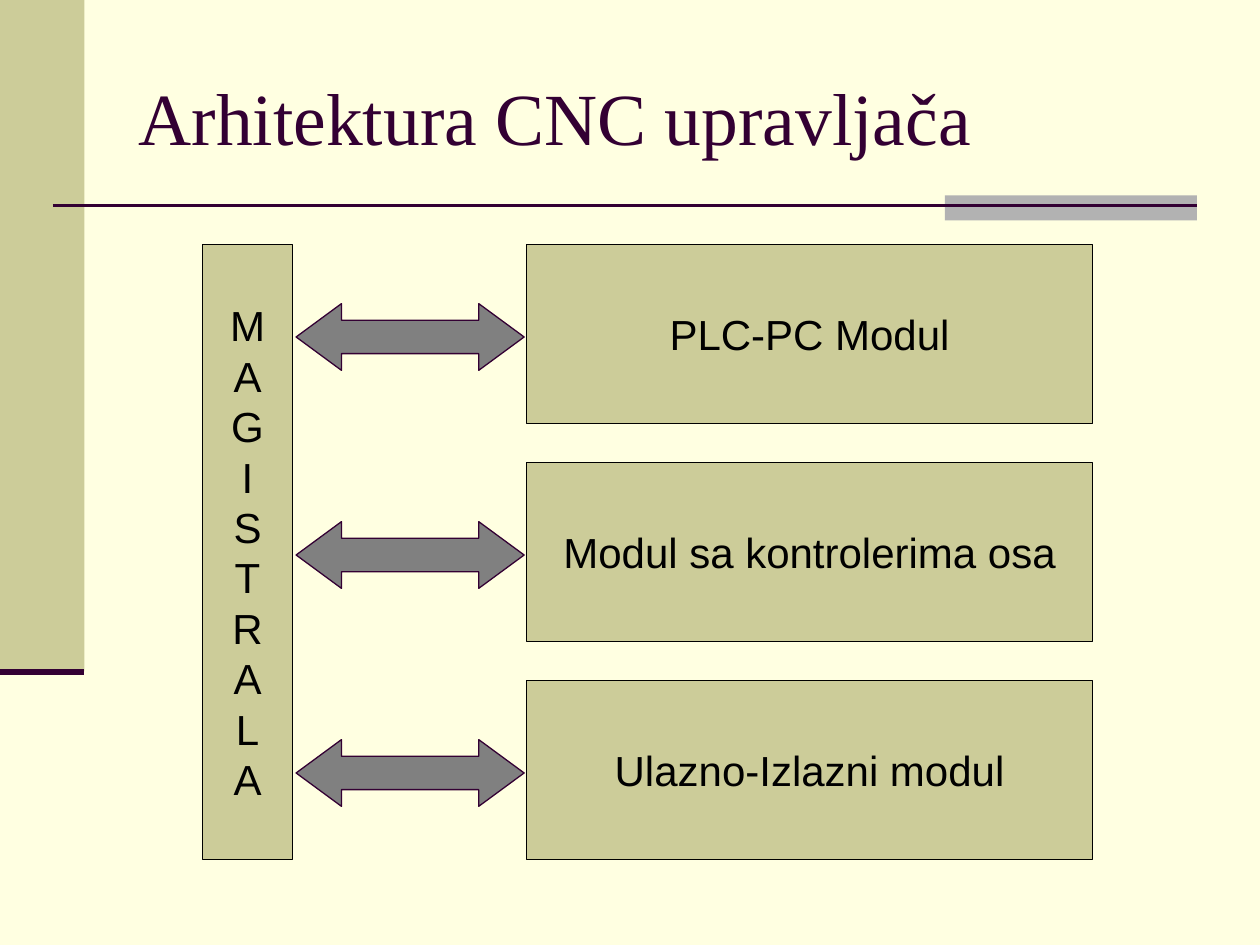
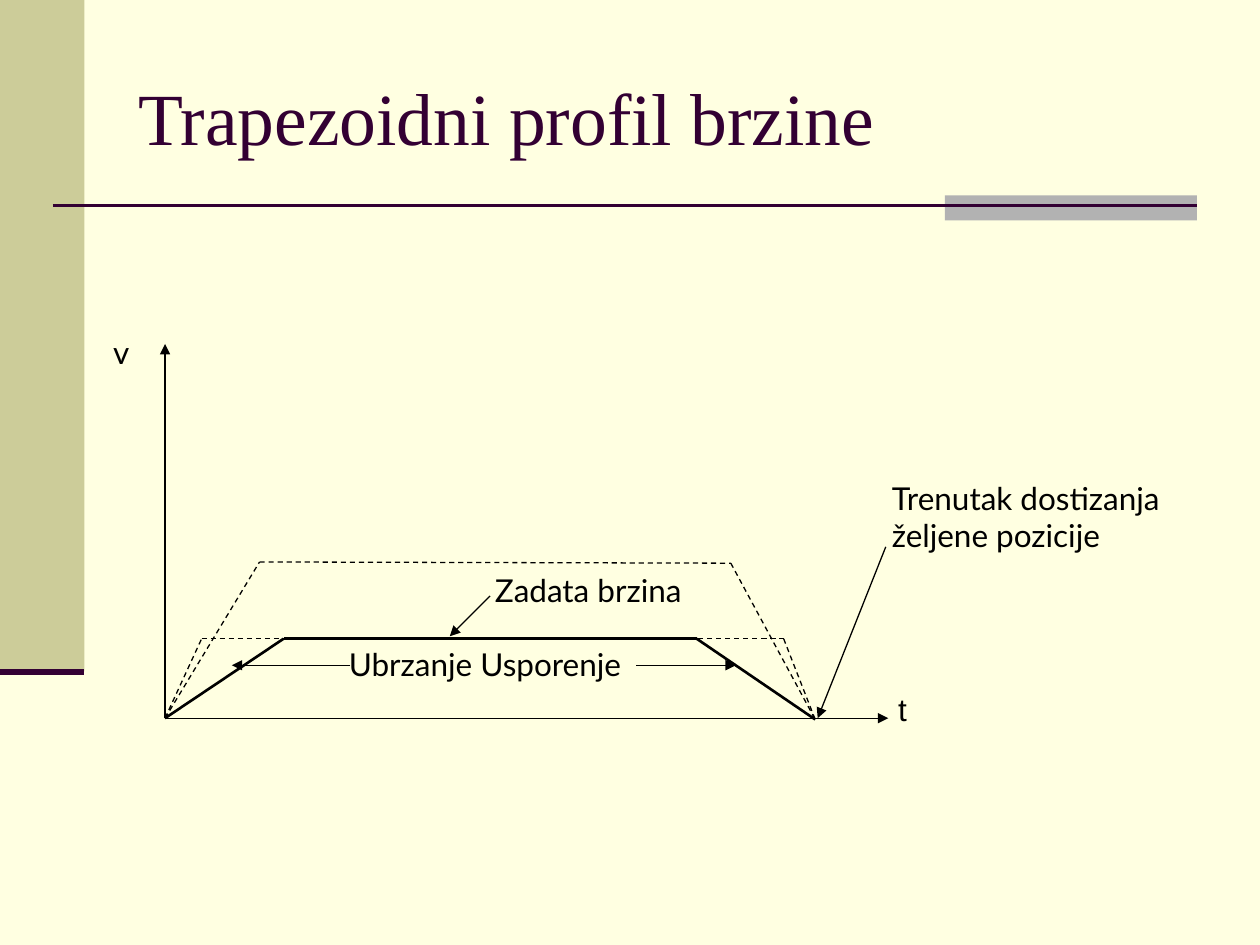
"""Build two slides on CNC controllers: bus architecture and velocity profile."""
import dataclasses
import typing

import lxml.etree
import pptx
import pptx.dml.color
import pptx.enum.dml
import pptx.enum.shapes
import pptx.enum.text
import pptx.oxml.ns
import pptx.util

EMU_PER_PX = 9144
COLORS = {
    "background": "FFFFE1",
    "panel": "CCCC99",
    "accent": "B2B2B2",
    "plum": "330033",
    "arrow": "808080",
    "ink": "000000",
}
Point = tuple[int, int]
RECTANGLE = pptx.enum.shapes.MSO_SHAPE.RECTANGLE
DOUBLE_ARROW = pptx.enum.shapes.MSO_SHAPE.LEFT_RIGHT_ARROW
ALIGN = pptx.enum.text.PP_ALIGN
ANCHOR = pptx.enum.text.MSO_ANCHOR


@dataclasses.dataclass(frozen=True)
class Box:
    """A filled preset shape, optionally outlined and labelled."""

    left: int
    top: int
    width: int
    height: int
    fill: str
    outline: str | None = None
    lines: tuple[str, ...] = ()
    kind: pptx.enum.shapes.MSO_SHAPE = RECTANGLE


@dataclasses.dataclass(frozen=True)
class Stroke:
    """A straight line, optionally dashed or ending in an arrowhead."""

    start: Point
    end: Point
    weight: float = 0.75
    dashed: bool = False
    arrow: bool = False
    color: str = "ink"


@dataclasses.dataclass(frozen=True)
class Label:
    """A free-standing text."""

    left: int
    top: int
    width: int
    height: int
    lines: tuple[str, ...]
    font: str = "Lato"


BANDS = (
    Box(0, 0, 67, 533, "panel"),
    Box(750, 155, 200, 20, "accent"),
)
RULES = (
    Stroke((42, 163), (950, 163), 1.5, color="plum"),
    Stroke((0, 533), (67, 533), 3.5, color="plum"),
)

MODULES = ("PLC-PC Modul", "Modul sa kontrolerima osa", "Ulazno-Izlazni modul")
MODULE_TOP, MODULE_HEIGHT, MODULE_PITCH = 194, 142, 173
BUS_HEIGHT = MODULE_PITCH * (len(MODULES) - 1) + MODULE_HEIGHT
ARROW_HEIGHT = 53

ORIGIN = (131, 570)
STOP = (647, 571)
PROFILE = (ORIGIN, (225, 507), (553, 507), STOP)
STEEP_PROFILE = (ORIGIN, (160, 507), (622, 507), STOP)
FAST_PROFILE = (ORIGIN, (206, 446), (580, 447), STOP)
ARROWS = (
    Stroke(ORIGIN, (705, 570), arrow=True),
    Stroke(ORIGIN, (131, 273), arrow=True),
    Stroke((389, 473), (357, 505), arrow=True),
    Stroke((278, 528), (184, 528), arrow=True),
    Stroke((505, 528), (584, 528), arrow=True),
    Stroke((703, 434), (649, 570), arrow=True),
)
LABELS = (
    Label(698, 375, 252, 70, ("Trenutak dostizanja", "željene pozicije")),
    Label(383, 448, 180, 40, ("Zadata brzina",)),
    Label(267, 507, 253, 40, ("Ubrzanje Usporenje",)),
    Label(80, 259, 32, 40, ("v",)),
    Label(703, 543, 27, 40, ("t",), "Arial"),
)


def px(length: int) -> pptx.util.Emu:
    """Turn px into EMU."""
    return pptx.util.Emu(length * EMU_PER_PX)


def rgb(name: str) -> pptx.dml.color.RGBColor:
    """Look up a colour by name."""
    return pptx.dml.color.RGBColor.from_string(COLORS[name])


def write(frame, lines: typing.Iterable[str], font: str, size: int, color: str,
          align: ALIGN = ALIGN.LEFT, leading: float | None = None) -> None:
    """Write one paragraph per line into a text frame."""
    for index, line in enumerate(lines):
        paragraph = frame.add_paragraph() if index else frame.paragraphs[0]
        paragraph.alignment = align
        if leading:
            paragraph.line_spacing = pptx.util.Pt(leading)
        run = paragraph.add_run()
        run.text = line
        run.font.name = font
        run.font.size = pptx.util.Pt(size)
        run.font.color.rgb = rgb(color)


def draw_box(slide, box: Box) -> None:
    """Draw a filled shape with its centred text."""
    shape = slide.shapes.add_shape(
        box.kind, px(box.left), px(box.top), px(box.width), px(box.height))
    shape.shadow.inherit = False
    shape.fill.solid()
    shape.fill.fore_color.rgb = rgb(box.fill)
    if box.outline:
        shape.line.color.rgb = rgb(box.outline)
        shape.line.width = pptx.util.Pt(0.75)
    else:
        shape.line.fill.background()
    if box.kind == DOUBLE_ARROW:
        shape.adjustments[0] = 0.5
        shape.adjustments[1] = 0.68
    if box.lines:
        shape.text_frame.word_wrap = False
        shape.text_frame.vertical_anchor = ANCHOR.MIDDLE
        write(shape.text_frame, box.lines, "Arial", 24, "ink", ALIGN.CENTER, 28.8)


def draw_stroke(slide, stroke: Stroke) -> None:
    """Draw a straight line without shadow."""
    connector = slide.shapes.add_connector(
        pptx.enum.shapes.MSO_CONNECTOR.STRAIGHT,
        *map(px, stroke.start + stroke.end))
    connector.line.color.rgb = rgb(stroke.color)
    connector.line.width = pptx.util.Pt(stroke.weight)
    if stroke.dashed:
        connector.line.dash_style = pptx.enum.dml.MSO_LINE.DASH
    properties = connector._element.spPr
    if stroke.arrow:
        outline = properties.find(pptx.oxml.ns.qn("a:ln"))
        lxml.etree.SubElement(outline, pptx.oxml.ns.qn("a:tailEnd"), type="triangle")
    lxml.etree.SubElement(properties, pptx.oxml.ns.qn("a:effectLst"))


def draw_polyline(slide, points: tuple[Point, ...], weight: float, dashed: bool) -> None:
    """Join successive points with lines."""
    for start, end in zip(points, points[1:]):
        draw_stroke(slide, Stroke(start, end, weight, dashed))


def draw_label(slide, label: Label) -> None:
    """Draw a free-standing text."""
    text_box = slide.shapes.add_textbox(
        px(label.left), px(label.top), px(label.width), px(label.height))
    text_box.text_frame.word_wrap = False
    write(text_box.text_frame, label.lines, label.font, 18, "ink")


def add_titled_slide(deck, heading: str):
    """Add a slide with the shared bands, rules and title style."""
    slide = deck.slides.add_slide(deck.slide_layouts[5])
    for band in BANDS:
        draw_box(slide, band)
    for rule in RULES:
        draw_stroke(slide, rule)
    title = slide.shapes.title
    title.left, title.top, title.width, title.height = map(px, (100, 30, 850, 125))
    title.text_frame.auto_size = pptx.enum.text.MSO_AUTO_SIZE.NONE
    title.text_frame.vertical_anchor = ANCHOR.MIDDLE
    write(title.text_frame, (heading,), "Times New Roman", 42, "plum")
    return slide


def build_architecture(deck) -> None:
    """Show the modules attached to the bus."""
    slide = add_titled_slide(deck, "Arhitektura CNC upravljača")
    draw_box(slide, Box(161, MODULE_TOP, 71, BUS_HEIGHT, "panel", "ink",
                        tuple("MAGISTRALA")))
    for index, module in enumerate(MODULES):
        top = MODULE_TOP + index * MODULE_PITCH
        arrow_top = top + (MODULE_HEIGHT - ARROW_HEIGHT) // 2 + 3
        draw_box(slide, Box(418, top, 449, MODULE_HEIGHT, "panel", "ink", (module,)))
        draw_box(slide, Box(235, arrow_top, 181, ARROW_HEIGHT, "arrow", "plum",
                            kind=DOUBLE_ARROW))


def build_velocity_profile(deck) -> None:
    """Show the trapezoidal velocity profile and its variants."""
    slide = add_titled_slide(deck, "Trapezoidni profil brzine")
    draw_polyline(slide, PROFILE, 1.5, False)
    draw_polyline(slide, STEEP_PROFILE, 0.75, True)
    draw_polyline(slide, FAST_PROFILE, 0.75, True)
    for arrow in ARROWS:
        draw_stroke(slide, arrow)
    for label in LABELS:
        draw_label(slide, label)


def main() -> None:
    """Build and save the deck."""
    deck = pptx.Presentation()
    deck.slide_width, deck.slide_height = px(1000), px(750)
    background = deck.slide_master.background.fill
    background.solid()
    background.fore_color.rgb = rgb("background")
    build_architecture(deck)
    build_velocity_profile(deck)
    deck.save("out.pptx")


if __name__ == "__main__":
    main()
